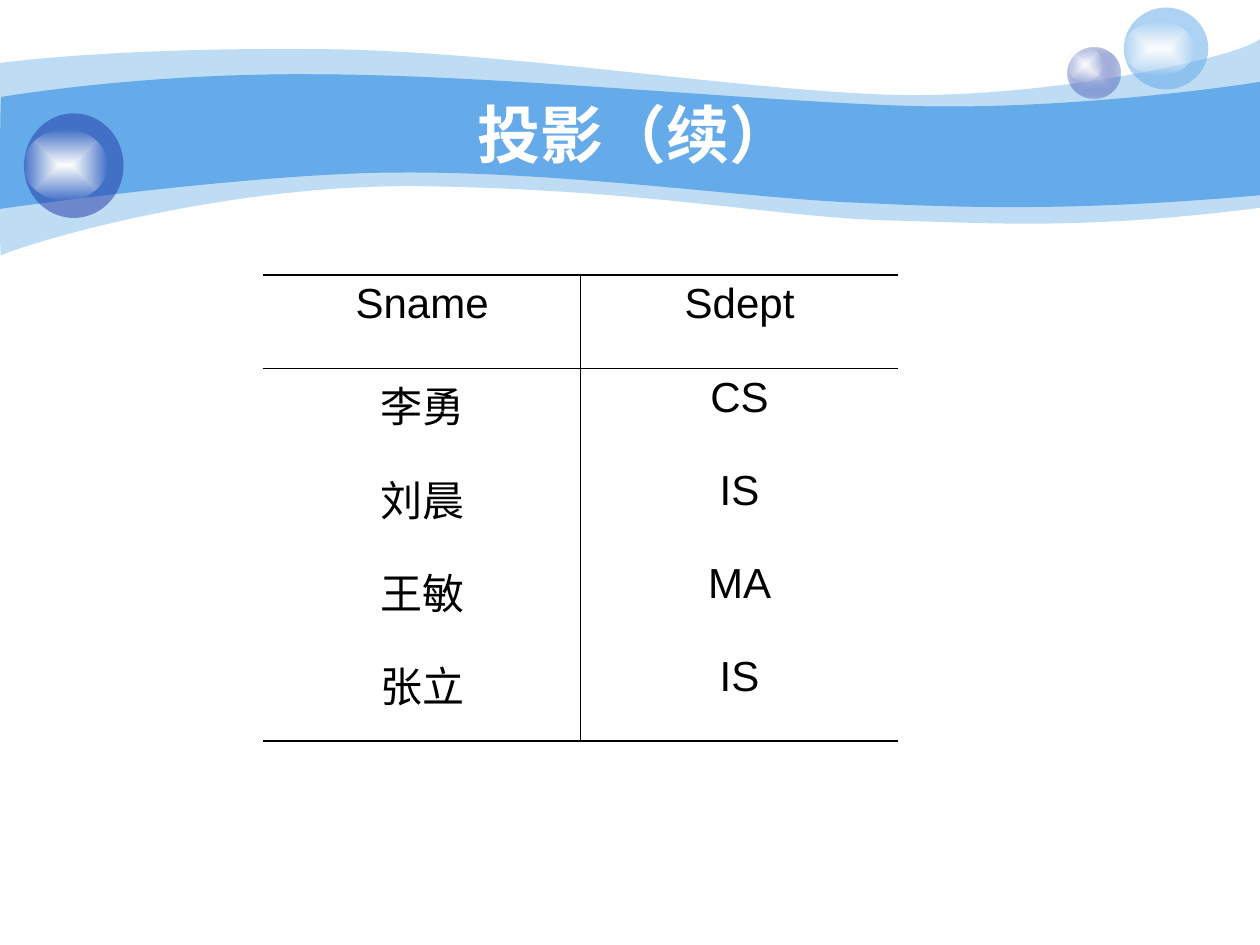
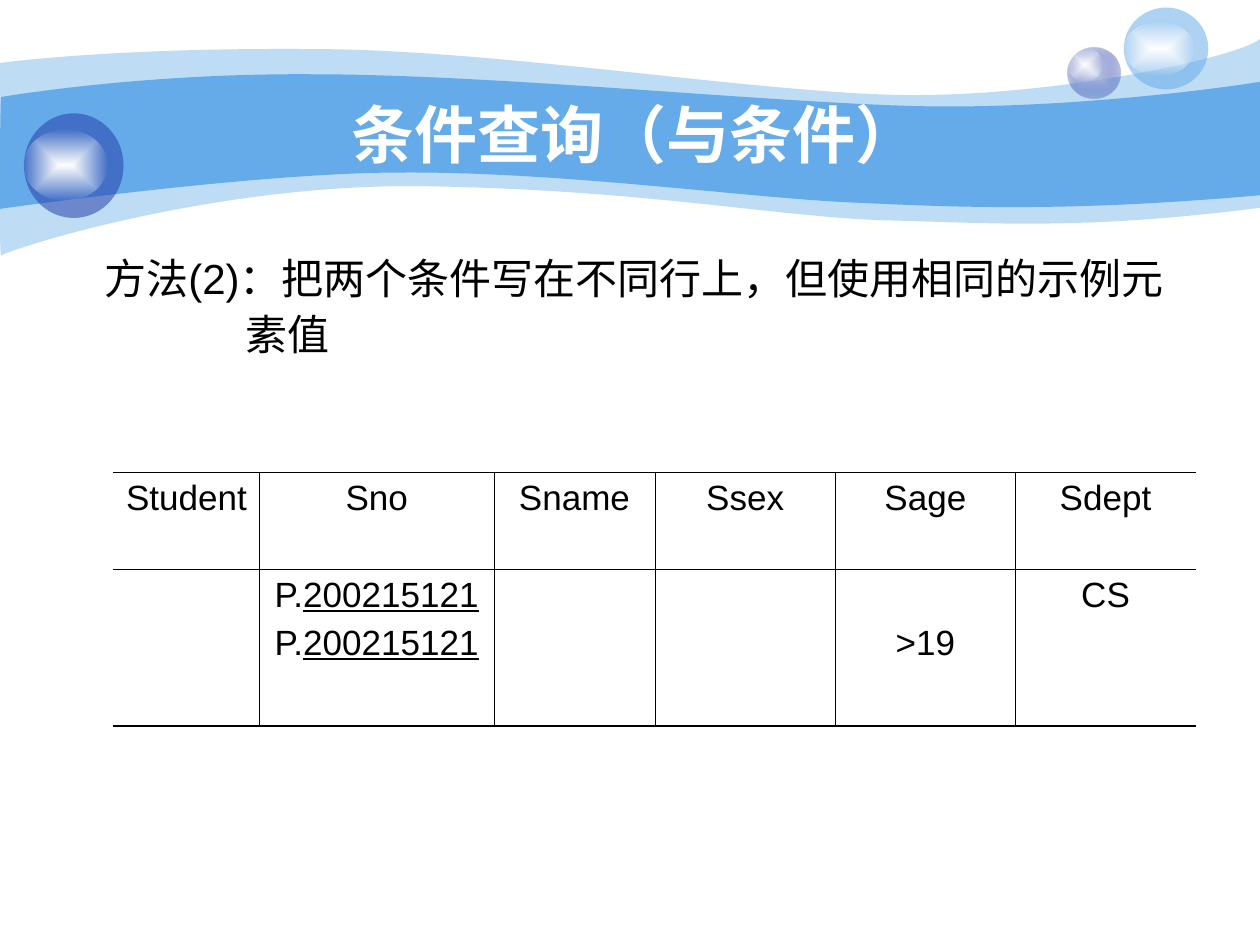
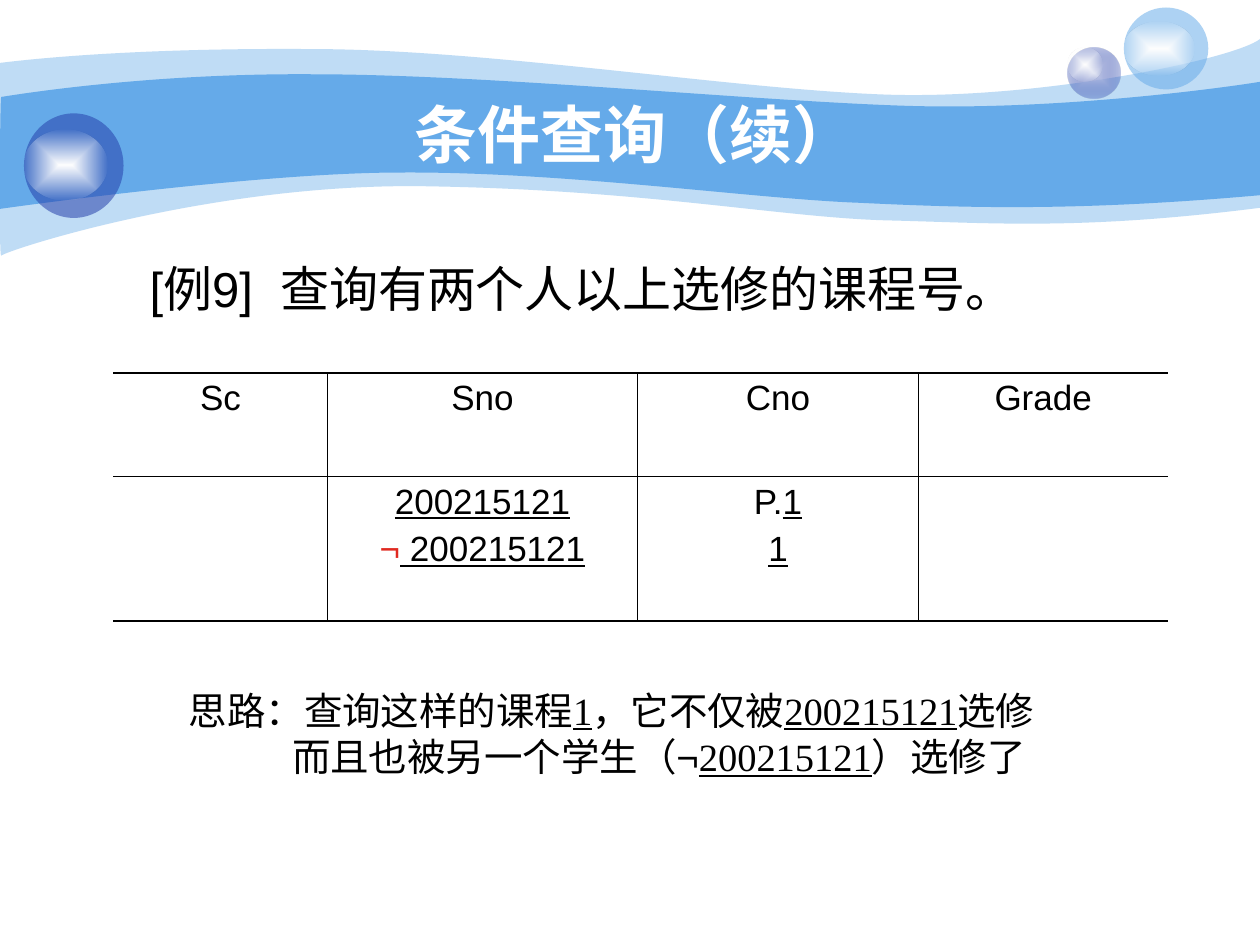
from dataclasses import dataclass
from typing import NamedTuple, Optional

from lxml.etree import SubElement
from pptx import Presentation
from pptx.dml.color import RGBColor
from pptx.enum.shapes import MSO_SHAPE, PP_PLACEHOLDER as Holder
from pptx.enum.text import MSO_ANCHOR, MSO_AUTO_SIZE, PP_ALIGN as Align
from pptx.oxml.ns import qn
from pptx.util import Inches, Pt


@dataclass(frozen=True)
class Theme:
    """Colours, fonts, type sizes and rule widths of the deck."""
    sky: str = "65AAE9"
    navy: str = "233DA9"
    lilac: str = "C7CEE9"
    white: str = "FFFFFF"
    ink: str = "000000"
    red: str = "E02920"
    sans: str = "Arial"
    serif: str = "Times New Roman"
    title: int = 36
    example: int = 28
    body: int = 24
    note: int = 22
    grid: int = 20
    thin_rule: float = 0.45
    thick_rule: float = 1.08


class Run(NamedTuple):
    """A stretch of text that differs from its paragraph."""
    text: str
    underline: Optional[bool] = None
    color: Optional[str] = None
    font: Optional[str] = None
    tracking: float = 0


class Line(NamedTuple):
    """A paragraph with its first-line indent."""
    runs: tuple
    indent: float = 0


THEME = Theme()
TITLE_BOX = (1, 0.75, 8.08, 0.62)
LIGHT_WAVE = (
    (0, 0.5),
    (0.24, 0.47, 1.07, 0.38, 2.47, 0.39),
    (3.86, 0.39, 5.75, 0.7, 6.99, 0.75),
    (8.22, 0.8, 9.8, 0.47, 10, 0.31),
    (10, 1.65),
    (8.58, 1.83, 7.87, 1.77, 7.05, 1.75),
    (6.22, 1.73, 5.15, 1.51, 3.43, 1.48),
    (1.72, 1.44, 0.04, 1.99, 0.01, 2.03),
    (-0.01, 2.08, 0, 0.75, 0, 0.5),
)
DEEP_WAVE = (
    (0.01, 0.77),
    (0.02, 0.77, 1.1, 0.58, 2.48, 0.59),
    (3.86, 0.59, 5.95, 0.8, 7.18, 0.84),
    (8.41, 0.88, 9.76, 0.69, 10, 0.65),
    (10, 1.55),
    (8.53, 1.68, 7.65, 1.65, 6.82, 1.61),
    (5.99, 1.58, 4.47, 1.36, 3.17, 1.37),
    (2.03, 1.37, -0.02, 1.66, -0.01, 1.66),
    (0, 1.66, 0, 0.77, 0.01, 0.77),
)


def inches(box):
    """Turn a tuple of numbers into lengths."""
    return [Inches(value) for value in box]


def add_alpha(color, percent):
    """Make a colour element partly transparent."""
    SubElement(color, qn("a:alpha")).set("val", str(percent * 1000))


def paint_solid(shape, color, percent=100):
    """Fill a shape with one colour, without line or shadow."""
    shape.shadow.inherit = False
    shape.line.fill.background()
    shape.fill.solid()
    shape.fill.fore_color.rgb = RGBColor.from_string(color)
    if percent < 100:
        add_alpha(shape.element.spPr.find(".//" + qn("a:srgbClr")), percent)


def paint_glow(shape, center, edge, edge_percent):
    """Fill a shape with a gradient that fades from its centre."""
    paint_solid(shape, center)
    solid = shape.element.spPr.find(qn("a:solidFill"))
    glow = solid.makeelement(qn("a:gradFill"), {"rotWithShape": "1"})
    stops = SubElement(glow, qn("a:gsLst"))
    for position, color, percent in ((0, center, 100), (100, edge, edge_percent)):
        stop = SubElement(stops, qn("a:gs"), pos=str(position * 1000))
        add_alpha(SubElement(stop, qn("a:srgbClr"), val=color), percent)
    burst = SubElement(glow, qn("a:path"), path="rect")
    SubElement(burst, qn("a:fillToRect"), dict.fromkeys("ltrb", "50000"))
    solid.getparent().replace(solid, glow)


def add_wave(slide, outline, percent):
    """Draw one wave of the header band, turning point triples into curves."""
    start, *segments = outline
    points = [segment[i:i + 2] for segment in segments for i in range(0, len(segment), 2)]
    builder = slide.shapes.build_freeform(*inches(start))
    builder.add_line_segments([inches(point) for point in points], close=True)
    wave = builder.convert_to_shape()
    steps = iter(list(wave.element.iter(qn("a:lnTo"))))
    for segment in segments:
        step = next(steps)
        if len(segment) == 6:
            curve = step.makeelement(qn("a:cubicBezTo"), {})
            step.addprevious(curve)
            for handle in (step, next(steps), next(steps)):
                curve.append(handle[0])
                handle.getparent().remove(handle)
    paint_solid(wave, THEME.sky, percent)
    return wave


def add_bubble(slide, box, shine_box):
    """Draw a bubble with its shine, both placed from the bubble's corner."""
    left, top = box[:2]
    dx, dy, width, height = shine_box
    ball = slide.shapes.add_shape(MSO_SHAPE.OVAL, *inches(box))
    shine = slide.shapes.add_shape(
        MSO_SHAPE.OVAL, *inches((left + dx, top + dy, width, height)))
    paint_glow(shine, THEME.white, THEME.white, 0)
    return ball, slide.shapes.add_group_shape([ball, shine])


def move_header_to_layout(slide):
    """Draw the waves and bubbles once and hand them to the slide's layout."""
    waves = [add_wave(slide, LIGHT_WAVE, 41), add_wave(slide, DEEP_WAVE, 100)]
    lilac_ball, lilac_bubble = add_bubble(slide, (8.47, 0.38, 0.42, 0.4), (0, 0, 0.28, 0.27))
    paint_glow(lilac_ball, THEME.lilac, THEME.navy, 31)
    sky_ball, sky_bubble = add_bubble(slide, (8.92, 0.06, 0.67, 0.65), (0, 0.11, 0.56, 0.43))
    paint_solid(sky_ball, THEME.sky, 53)
    navy_ball, navy_bubble = add_bubble(slide, (0.19, 0.9, 0.79, 0.83), (0, 0.13, 0.66, 0.56))
    paint_solid(navy_ball, THEME.navy, 53)
    layout = slide.slide_layout
    tree = layout.element.cSld.spTree
    for holder in list(layout.placeholders):
        if holder.placeholder_format.type != Holder.TITLE:
            tree.remove(holder.element)
    for place, part in enumerate((*waves, lilac_bubble, sky_bubble, navy_bubble), start=2):
        tree.insert(place, part.element)


def set_font(font, size, color=THEME.ink, name=THEME.sans, bold=False):
    """Set the face, size and colour of a font."""
    font.name, font.size, font.bold = name, Pt(size), bold
    font.color.rgb = RGBColor.from_string(color)


def write_runs(paragraph, runs):
    """Add plain strings and styled runs to a paragraph."""
    for part in runs:
        piece = Run(part) if isinstance(part, str) else part
        run = paragraph.add_run()
        run.text = piece.text
        if piece.underline:
            run.font.underline = True
        if piece.color:
            run.font.color.rgb = RGBColor.from_string(piece.color)
        if piece.font:
            run.font.name = piece.font
        if piece.tracking:
            run._r.get_or_add_rPr().set("spc", str(round(piece.tracking * 100)))


def write_lines(frame, lines, size, name=THEME.sans, align=Align.LEFT, gap=0, spacing=None):
    """Write the lines of a text frame, with a gap between them."""
    for index, line in enumerate(lines):
        paragraph = frame.add_paragraph() if index else frame.paragraphs[0]
        properties = paragraph._p.get_or_add_pPr()
        properties.set("marL", "0")
        properties.set("indent", str(Inches(line.indent)))
        paragraph.alignment = align
        paragraph.space_before = Pt(gap if index else 0)
        paragraph.line_spacing = spacing
        set_font(paragraph.font, size, name=name)
        write_runs(paragraph, line.runs)


def add_text(slide, box, lines, size, **style):
    """Add a wrapping text box."""
    frame = slide.shapes.add_textbox(*inches(box)).text_frame
    frame.word_wrap = True
    write_lines(frame, lines, size, **style)


def add_titled_slide(deck, title):
    """Add a title-only slide and format its title."""
    slide = deck.slides.add_slide(deck.slide_layouts[5])
    heading = slide.shapes.title
    heading.left, heading.top, heading.width, heading.height = inches(TITLE_BOX)
    frame = heading.text_frame
    frame.text = title
    frame.word_wrap, frame.auto_size = True, MSO_AUTO_SIZE.NONE
    frame.vertical_anchor = MSO_ANCHOR.MIDDLE
    paragraph = frame.paragraphs[0]
    paragraph.alignment = Align.CENTER
    set_font(paragraph.font, THEME.title, THEME.white, bold=True)
    return slide


def rule_cell(cell, widths):
    """Draw a cell's left, right, top and bottom rules; zero means none."""
    properties = cell._tc.get_or_add_tcPr()
    for side, width in zip("LRTB", widths):
        rule = SubElement(properties, qn("a:ln" + side), w=str(Pt(width)))
        if width:
            fill = SubElement(rule, qn("a:solidFill"))
            SubElement(fill, qn("a:srgbClr"), val=THEME.ink)
        else:
            SubElement(rule, qn("a:noFill"))
    cell.fill.background()


def add_relation(slide, corner, widths, heights, rows, size, gap=0):
    """Add a relation table: thick outer rules, a thin header rule, thin columns."""
    thin, thick = THEME.thin_rule, THEME.thick_rule
    box = (*corner, sum(widths), sum(heights))
    table = slide.shapes.add_table(len(rows), len(widths), *inches(box)).table
    table.first_row = table.horz_banding = False
    for column, width in zip(table.columns, widths):
        column.width = Inches(width)
    for r, (height, row) in enumerate(zip(heights, rows)):
        table.rows[r].height = Inches(height)
        top = {0: thick, 1: thin}.get(r, 0)
        bottom = thick if r == len(rows) - 1 else thin if r == 0 else 0
        for c, content in enumerate(row):
            cell = table.cell(r, c)
            left = thin if c else 0
            right = thin if c < len(row) - 1 else 0
            rule_cell(cell, (left, right, top, bottom))
            lines = [Line((content,))] if isinstance(content, str) else content
            if content:
                write_lines(cell.text_frame, lines, size, align=Align.CENTER, gap=gap)
    return table


def build_projection(slide):
    """Fill the slide that shows the result of a projection."""
    rows = [("Sname", "Sdept"), ("李勇", "CS"), ("刘晨", "IS"), ("王敏", "MA"), ("张立", "IS")]
    add_relation(slide, (2.09, 2.18), [2.52] * 2, [0.74] * 5, rows, THEME.body)


def build_and_condition(slide):
    """Fill the slide that joins two conditions on separate rows."""
    add_text(slide, (0.5, 2, 9.15, 1.91), [
        Line(("方法(2)：把两个条件写在不同行上，但使用相同的示例元",), 0.23),
        Line(("素值",), 1.35),
    ], THEME.body, align=Align.JUSTIFY, gap=6, spacing=0.9)
    student = Line(("P.", Run("200215121", underline=True)))
    rows = [
        ("Student", "Sno", "Sname", "Ssex", "Sage", "Sdept"),
        ("", [student, student], "", "", ">19", "CS"),
    ]
    table = add_relation(slide, (0.9, 3.75), [1.16, 1.86, 1.28] + [1.43] * 3,
                         [0.77, 1.24], rows, THEME.grid, gap=5)
    table.cell(1, 4).margin_top = Inches(0.43)


def build_shared_course(slide):
    """Fill the slide that finds courses taken by more than one student."""
    number = Run("200215121", underline=True)
    course = Run("1", underline=True)
    example = ("[例9]", Run(" ", tracking=7.8), "查询有两个人以上选修的课程号。")
    add_text(slide, (0.5, 2, 9.07, 1.67), [Line(example, 0.59)], THEME.example)
    add_text(slide, (0.9, 5.4, 8.82, 0.84), [
        Line(("思路：查询这样的课程", course, "，它不仅被", number, "选修"), 0.5),
        Line(("而且也被另一个学生（", Run("¬", font=THEME.sans), number, "）选修了"), 1.32),
    ], THEME.note, name=THEME.serif)
    other = Line((Run("¬", color=THEME.red), Run(" 200215121", underline=True)))
    rows = [
        ("Sc", "Sno", "Cno", "Grade"),
        ("", [Line((number,)), other], [Line(("P.", course)), Line((course,))], ""),
    ]
    add_relation(slide, (0.9, 2.96), [1.7, 2.46, 2.23, 1.98], [0.82, 1.15],
                 rows, THEME.grid, gap=5)


def main():
    """Build the deck and save it."""
    deck = Presentation()
    deck.slide_width, deck.slide_height = Inches(10), Inches(7.5)
    pages = (
        ("投影（续）", build_projection),
        ("条件查询（与条件）", build_and_condition),
        ("条件查询（续）", build_shared_course),
    )
    for title, build in pages:
        build(add_titled_slide(deck, title))
    move_header_to_layout(deck.slides[0])
    deck.save("out.pptx")


if __name__ == "__main__":
    main()
